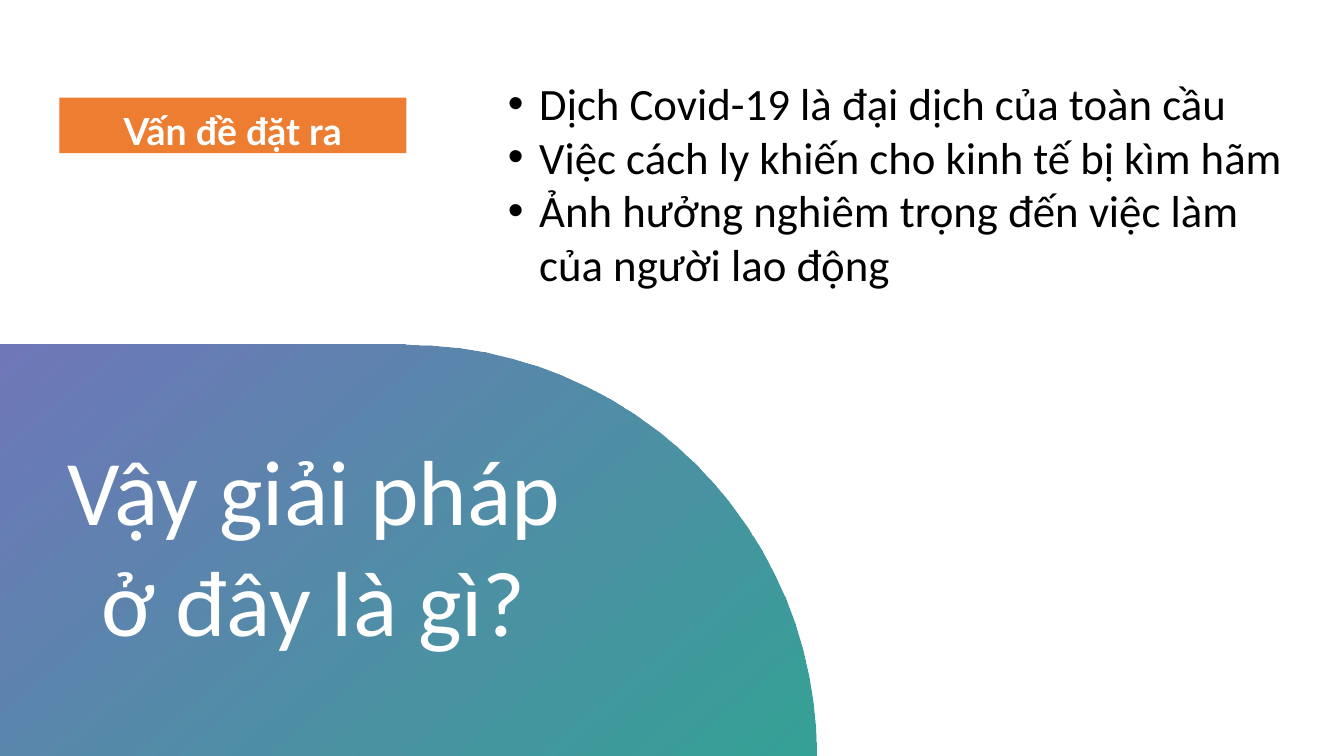
from dataclasses import dataclass

from lxml import etree
from pptx import Presentation
from pptx.dml.color import RGBColor
from pptx.enum.shapes import MSO_SHAPE
from pptx.enum.text import MSO_ANCHOR, PP_ALIGN
from pptx.oxml.ns import qn
from pptx.util import Cm, Pt

RECT, DELAY = MSO_SHAPE.RECTANGLE, MSO_SHAPE.FLOWCHART_DELAY
CENTER, LEFT = PP_ALIGN.CENTER, PP_ALIGN.LEFT
MIDDLE, TOP = MSO_ANCHOR.MIDDLE, MSO_ANCHOR.TOP


@dataclass(frozen=True)
class Theme:
    orange: str = "ED7D31"
    white: str = "FFFFFF"
    black: str = "000000"
    stops: tuple = (("505AAA", 82), ("00AA78", 89))
    slant: int = 310
    label: float = 26.7
    body: int = 32
    title: int = 66
    head: str = "Lato"
    text: str = "Calibri"


THEME = Theme()
LABEL = "Vấn đề đặt ra"
POINTS = (
    "Dịch Covid-19 là đại dịch của toàn cầu",
    "Việc cách ly khiến cho kinh tế bị kìm hãm",
    "Ảnh hưởng nghiêm trọng đến việc làm của người lao động",
)
QUESTION = "Vậy giải pháp ở đây là gì?"


def assign(target, values):
    for name, value in values.items():
        setattr(target, name, value)


def style(par, font, size, color, align=LEFT, bold=False):
    par.alignment = align
    assign(par.font, {"name": font, "size": Pt(size), "bold": bold})
    par.font.color.rgb = RGBColor.from_string(color)


def add_plain(slide, kind, box):
    """Add a preset shape without outline or shadow."""
    shape = slide.shapes.add_shape(kind, *map(Cm, box))
    shape.shadow.inherit = False
    shape.line.fill.background()
    return shape


def add_bullet(par, indent):
    props = par._p.get_or_add_pPr()
    props.set("marL", str(Cm(indent)))
    props.set("indent", str(-Cm(indent)))
    etree.SubElement(props, qn("a:buFont")).set("typeface", "Arial")
    etree.SubElement(props, qn("a:buChar")).set("char", "•")


def fill_blend(shape):
    """Fill with the theme's slanted, partly clear gradient."""
    fill = shape.fill
    fill.gradient()
    fill.gradient_angle = THEME.slant
    for stop, (color, solid) in zip(fill.gradient_stops, THEME.stops):
        stop.color.rgb = RGBColor.from_string(color)
    for node, (color, solid) in zip(shape._element.iter(qn("a:srgbClr")), THEME.stops):
        etree.SubElement(node, qn("a:alpha")).set("val", str(solid * 1000))


def draw_label(slide, box):
    shape = add_plain(slide, RECT, box)
    shape.fill.solid()
    shape.fill.fore_color.rgb = RGBColor.from_string(THEME.orange)
    frame = shape.text_frame
    assign(frame, {"word_wrap": True, "vertical_anchor": MIDDLE, "margin_left": 0,
                   "margin_right": 0, "margin_top": 0, "margin_bottom": 0})
    par = frame.paragraphs[0]
    par.text = LABEL
    par.line_spacing = 1.25
    style(par, THEME.head, THEME.label, THEME.white, CENTER, True)


def draw_points(slide, box):
    frame = slide.shapes.add_textbox(*map(Cm, box)).text_frame
    assign(frame, {"word_wrap": True, "vertical_anchor": TOP})
    for i, point in enumerate(POINTS):
        par = frame.add_paragraph() if i else frame.paragraphs[0]
        par.text = point
        add_bullet(par, 0.79)
        style(par, THEME.text, THEME.body, THEME.black)


def draw_question(slide, box):
    left, top, width, height = box
    fill_blend(add_plain(slide, DELAY, box))
    inner = (left + 0.99, top + 1.24, 14.1, 7.54)
    frame = slide.shapes.add_textbox(*map(Cm, inner)).text_frame
    assign(frame, {"word_wrap": True, "vertical_anchor": MIDDLE})
    par = frame.paragraphs[0]
    par.text = QUESTION
    style(par, THEME.text, THEME.title, THEME.white, CENTER)


def main():
    deck = Presentation()
    assign(deck, {"slide_width": Cm(33.87), "slide_height": Cm(19.05)})
    slide = deck.slides.add_slide(deck.slide_layouts[6])
    draw_label(slide, (1.5, 2.46, 8.74, 1.4))
    draw_points(slide, (12.55, 1.78, 20.7, 5.74))
    draw_question(slide, (-0.13, 8.69, 20.7, 20.7))
    deck.save("out.pptx")


if __name__ == "__main__":
    main()
